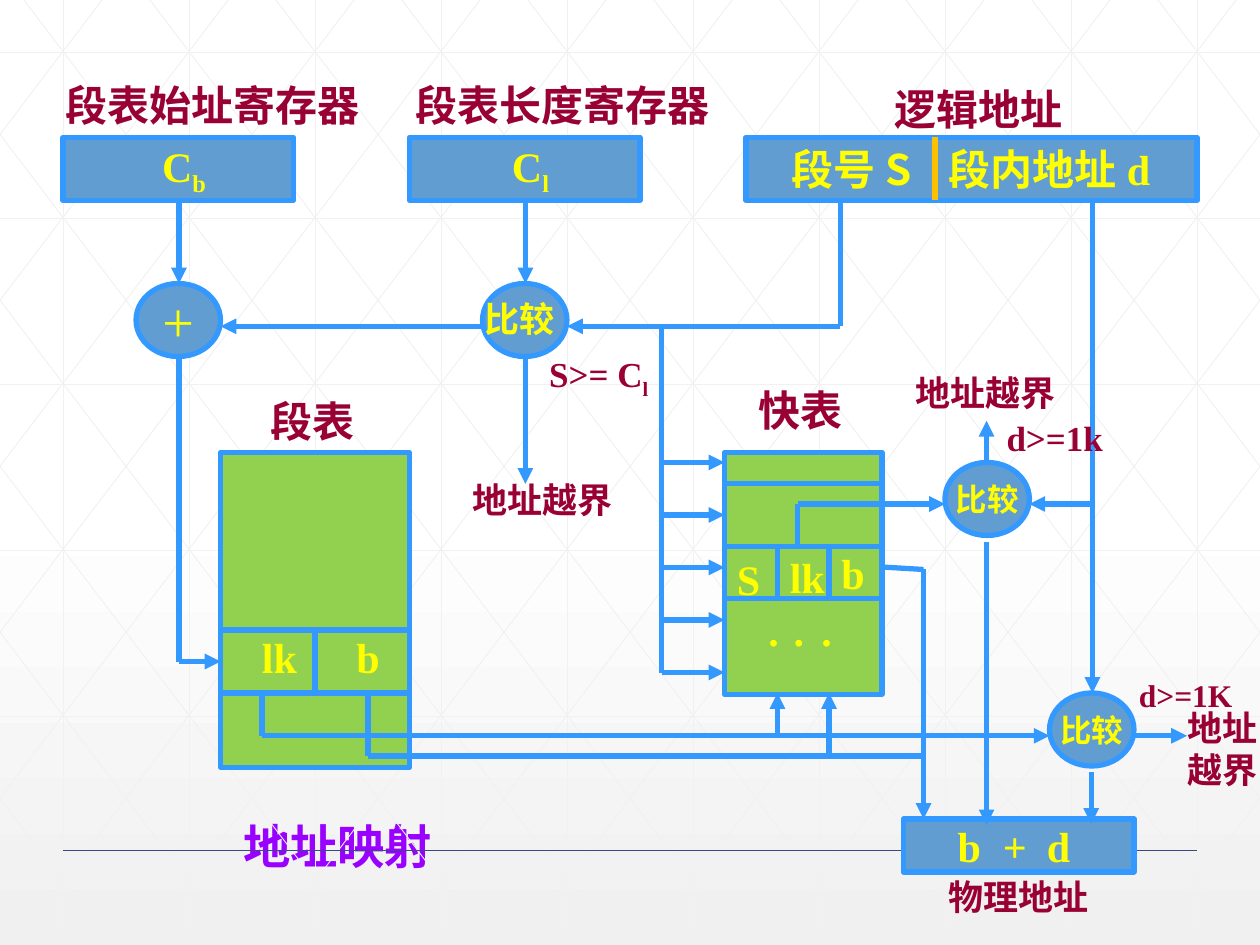
"""Build the slide on segment address mapping with a fast lookup table."""
from lxml import etree
from pptx import Presentation
from pptx.dml import color
from pptx.enum import shapes, text
from pptx.oxml import ns
from pptx.util import Inches, Pt

HUES = {"page": "FFFFFF", "foot": "F0F0F0", "grid": "F1F1F1", "rule": "384C81",
        "blue": "629DD1", "edge": "3399FF", "green": "92D050", "gold": "FFC000",
        "yellow": "FFFF00", "wine": "990033", "violet": "9900FF"}
ROMAN, HAN = "Times New Roman", "Noto Sans CJK SC"
WIDE, LOW, SLOPE = 10, 7.37, 1.317
RECT, OVAL = shapes.MSO_SHAPE.RECTANGLE, shapes.MSO_SHAPE.OVAL

TITLE = "地址映射"
TABLES = [(1.75, 3.59, 1.5, 2.5), (5.75, 3.59, 1.25, 1.92)]
REGS = [("C_b", 0.5), ("C_l", 3.25)]
NODES = [("+", 1.08, 2.25, 32), ("", 3.83, 2.25, 20),
         ("比较", 8.33, 5.5, 18), ("比较", 7.5, 3.67, 18)]
RULES = [
    [(1.75, 5), (3.25, 5)], [(2.5, 5), (2.5, 5.5)], [(1.75, 5.5), (3.25, 5.5)],
    [(5.75, 3.84), (7, 3.84)], [(5.75, 4.34), (7, 4.34)], [(5.75, 4.75), (7, 4.75)],
    [(6.17, 4.34), (6.17, 4.75)], [(6.58, 4.34), (6.58, 4.75)],
    [(5.25, 2.59), (5.25, 5.34)], [(2.92, 5.5), (2.92, 6), (7.33, 6)],
]
FLOWS = [
    [(1.42, 1.59), (1.42, 2.25)], [(4.17, 1.59), (4.17, 2.25)],
    [(4.17, 2.84), (4.17, 3.84)], [(3.83, 2.59), (1.75, 2.59)],
    [(1.42, 2.84), (1.42, 5.25), (1.75, 5.25)],
    [(6.67, 1.59), (6.67, 2.59), (4.5, 2.59)],
    [(8.67, 1.59), (8.67, 5.5)], [(8.67, 4), (8.17, 4)],
    [(7.83, 3.67), (7.83, 3.34)], [(7.83, 4.3), (7.83, 6.55)],
    [(6.33, 4.34), (6.33, 4), (7.5, 4)],
    [(7, 4.5), (7.33, 4.52), (7.33, 6.5)],
    [(2.08, 5.5), (2.08, 5.84), (8.33, 5.84)], [(9, 5.84), (9.42, 5.84)],
    [(6.17, 5.84), (6.17, 5.5)], [(6.58, 6), (6.58, 5.5)],
    [(8.66, 6.13), (8.66, 6.54)],
]
FAN = [[(5.25, 3.67 + i * 5 / 12), (5.75, 3.67 + i * 5 / 12)] for i in range(5)]
LABELS = [
    ("段表始址寄存器", 0.42, 0.58, 2.55, 0.5, 24, "wine"),
    ("段表长度寄存器", 3.2, 0.58, 2.55, 0.5, 24, "wine"),
    ("逻辑地址", 7, 0.61, 1.54, 0.5, 24, "wine"),
    ("段表", 2.05, 3.09, 0.87, 0.5, 24, "wine"),
    ("快表", 5.92, 3, 0.87, 0.5, 24, "wine"),
    ("S>= C_l", 4.26, 2.75, 0.99, 0.43, 20, "wine"),
    ("地址越界", 3.65, 3.75, 1.32, 0.43, 20, "wine"),
    ("地址越界", 7.17, 2.9, 1.32, 0.43, 20, "wine"),
    ("地址越界", 9.33, 5.56, 0.81, 0.77, 20, "wine"),
    ("d>=1k", 7.89, 3.26, 0.97, 0.44, 20, "wine"),
    ("d>=1K", 8.94, 5.32, 0.95, 0.44, 18, "wine"),
    ("物理地址", 7.43, 6.9, 1.32, 0.43, 20, "wine"),
    ("比较", 3.75, 2.31, 0.76, 0.43, 20, "yellow"),
    ("lk", 1.98, 4.96, 0.48, 0.51, 24, "yellow"),
    ("b", 2.73, 4.96, 0.39, 0.5, 24, "yellow"),
    ("S", 5.75, 4.34, 0.39, 0.5, 24, "yellow"),
    ("lk", 6.17, 4.33, 0.48, 0.51, 24, "yellow"),
    ("b", 6.58, 4.3, 0.39, 0.5, 24, "yellow"),
] + [(".", x, 4.75, 0.28, 0.5, 24, "yellow") for x in (6, 6.2, 6.42)]


def rgb(name):
    return color.RGBColor.from_string(HUES[name])


def style(run, size, hue, bold=True, face=ROMAN):
    font = run.font
    font.size, font.bold, font.name = Pt(size), bold, face
    font.color.rgb = rgb(hue)
    east = etree.SubElement(run._r.get_or_add_rPr(), ns.qn("a:ea"))
    east.set("typeface", HAN)


def write(frame, words, size, hue, bold=True):
    main, _, sub = words.partition("_")
    para = frame.paragraphs[0]
    para.text = main
    if sub:
        para.add_run().text = sub
        para.runs[1]._r.get_or_add_rPr().set("baseline", "-25000")
    for run in para.runs:
        style(run, size, hue, bold)
    return para


def stops(para, spots):
    tabs = etree.SubElement(para._p.get_or_add_pPr(), ns.qn("a:tabLst"))
    for spot in spots:
        etree.SubElement(tabs, ns.qn("a:tab"), pos=str(Inches(spot)), algn="l")
    para.alignment = text.PP_ALIGN.LEFT


def block(slide, kind, at, hue, inset=0.1):
    shape = slide.shapes.add_shape(kind, *map(Inches, at))
    shape.shadow.inherit = False
    shape.fill.solid()
    shape.fill.fore_color.rgb = rgb(hue)
    shape.line.color.rgb = rgb("edge")
    shape.line.width = Pt(3)
    frame = shape.text_frame
    frame.word_wrap = False
    frame.margin_left = Inches(inset)
    frame.vertical_anchor = text.MSO_ANCHOR.MIDDLE
    frame.paragraphs[0].alignment = text.PP_ALIGN.CENTER
    return frame


def wire(slide, points, hue="edge", width=3, head=False):
    for start, end in zip(points, points[1:]):
        line = slide.shapes.add_connector(
            shapes.MSO_CONNECTOR.STRAIGHT, *map(Inches, (*start, *end)))
        line.line.color.rgb = rgb(hue)
        line.line.width = Pt(width)
        etree.SubElement(line._element.spPr, ns.qn("a:effectLst"))
    if head:
        etree.SubElement(line.line._ln, ns.qn("a:tailEnd"), type="triangle")


def backdrop(slide):
    fill = slide.background.fill
    fill.gradient()
    fill.gradient_angle = 270
    for stop, spot, hue in zip(fill.gradient_stops, (0.53, 1), ("page", "foot")):
        stop.position = spot
        stop.color.rgb = rgb(hue)
    grid = [[(i + 0.5, 0), (i + 0.5, LOW)] for i in range(10)]
    grid += [[(0, 0.42 + 1.316 * i), (WIDE, 0.42 + 1.316 * i)] for i in range(6)]
    for i in range(-5, 10):
        base = 0.19 + i
        ends = [max(0, -base * SLOPE), min(LOW, (WIDE - base) * SLOPE)]
        slant = [(base + y / SLOPE, y) for y in ends]
        grid += [slant, [(WIDE - x, y) for x, y in slant]]
    for points in grid:
        wire(slide, points, "grid", 0.5)
    wire(slide, [(0.5, 6.75), (9.5, 6.75)], "rule", 1)


def main():
    deck = Presentation()
    deck.slide_width, deck.slide_height = Inches(10), Inches(7.5)
    slide = deck.slides.add_slide(deck.slide_layouts[5])
    backdrop(slide)

    title = slide.shapes.title
    title.left, title.top, title.width, title.height = map(Inches, (1.83, 6.42, 2, 0.58))
    write(title.text_frame, TITLE, 27, "violet").alignment = text.PP_ALIGN.LEFT

    for at in TABLES:
        block(slide, RECT, at, "green")
    for words, left in REGS:
        write(block(slide, RECT, (left, 1.09, 1.83, 0.5), "blue", 0.19), words, 24, "yellow")
    for words, left, top, size in NODES:
        frame = block(slide, OVAL, (left, top, 0.67, 0.58), "blue")
        write(frame, words, size, "yellow", words != "+")

    frame = block(slide, RECT, (5.92, 1.09, 3.58, 0.5), "blue", 0.36)
    frame.word_wrap = True
    para = write(frame, "段号S\t段内地址", 24, "yellow")
    for run in para.runs:
        run.font.name = HAN
    last = para.add_run()
    last.text = "d"
    style(last, 24, "yellow")
    stops(para, [1.25])

    frame = block(slide, RECT, (7.17, 6.5, 1.83, 0.42), "blue", 0.43)
    frame.word_wrap = True
    stops(write(frame, "b\t+\td", 24, "yellow"), [0.36, 0.71])

    for points in RULES:
        wire(slide, points)
    for points in FLOWS + FAN:
        wire(slide, points, head=True)
    wire(slide, [(7.42, 1.09), (7.42, 1.59)], "gold")

    for words, left, top, width, height, size, hue in LABELS:
        box = slide.shapes.add_textbox(*map(Inches, (left, top, width, height)))
        box.text_frame.word_wrap = height > 0.6
        write(box.text_frame, words, size, hue)
    deck.save("out.pptx")


if __name__ == "__main__":
    main()
